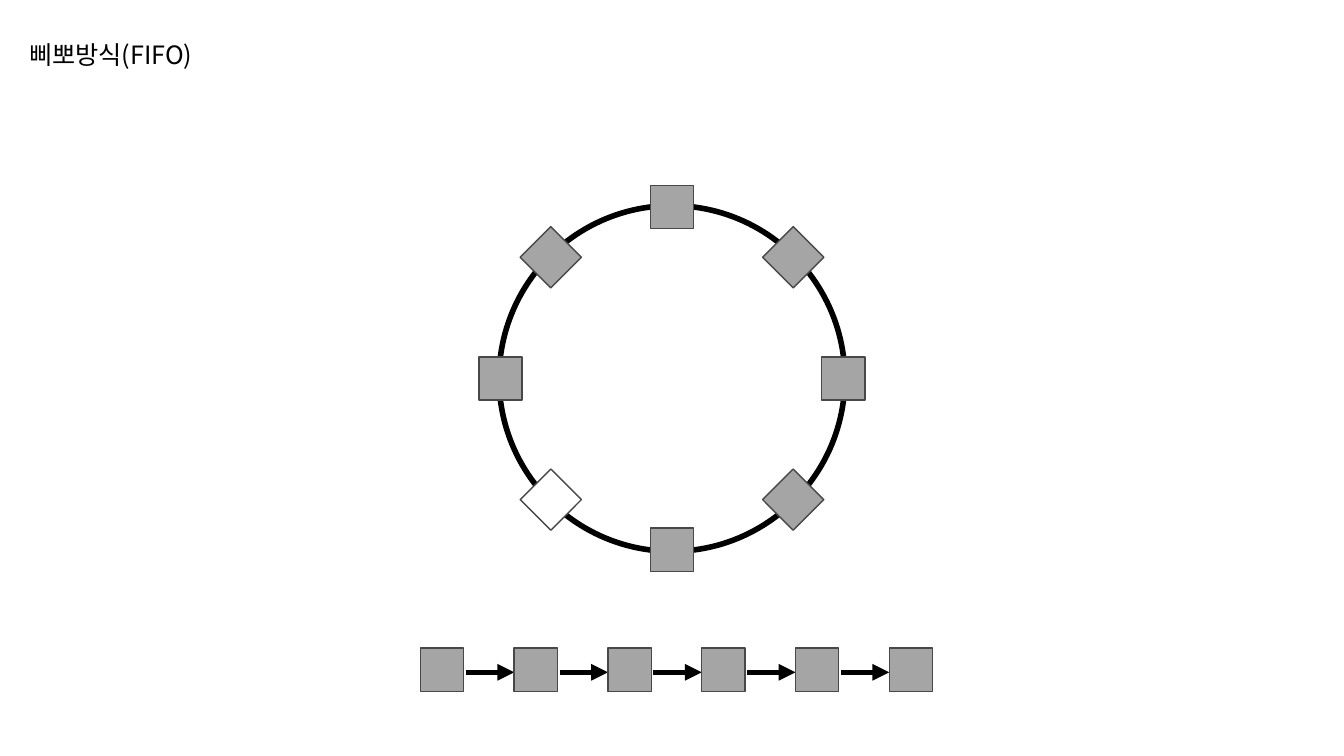
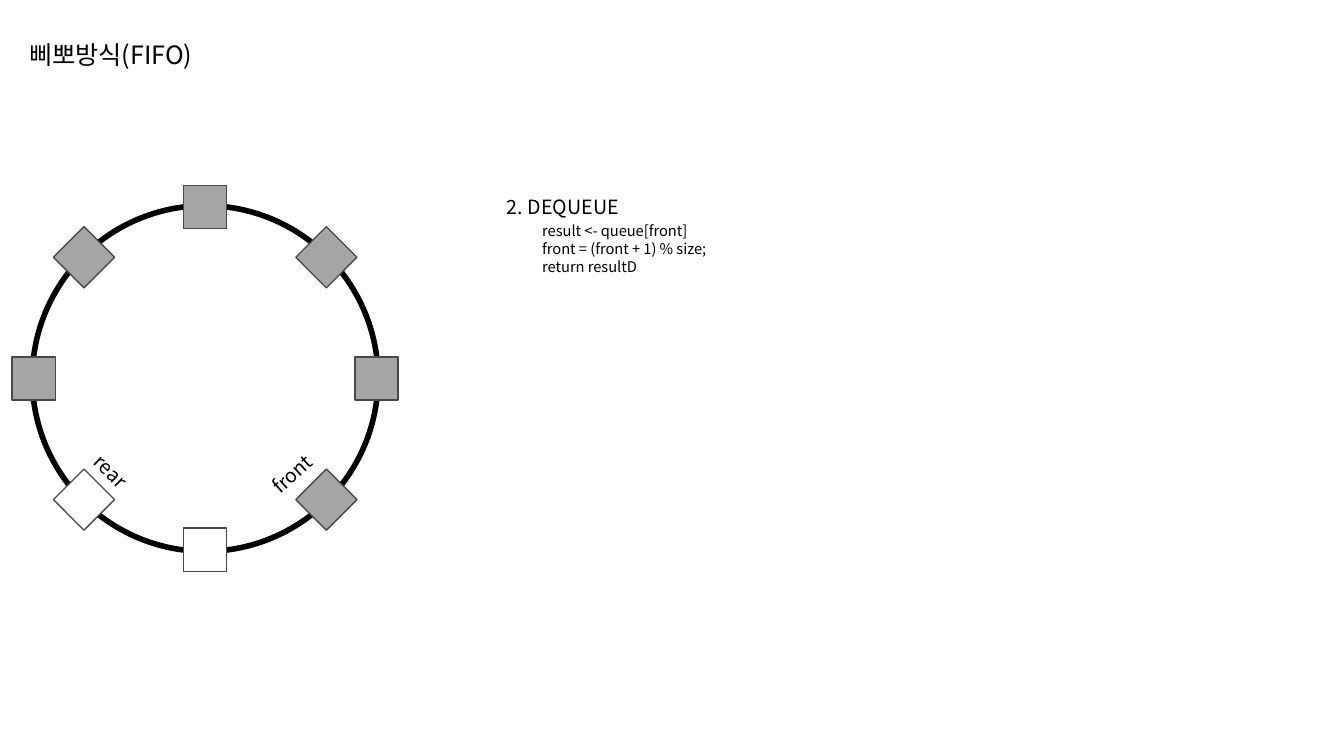
from math import cos, radians, sin

from pptx import Presentation
from pptx.dml.color import RGBColor
from pptx.enum.shapes import MSO_CONNECTOR, MSO_SHAPE
from pptx.enum.text import MSO_AUTO_SIZE
from pptx.oxml.ns import qn
from pptx.util import Inches, Pt

BLACK = RGBColor(0x00, 0x00, 0x00)
WHITE = RGBColor(0xFF, 0xFF, 0xFF)
GRAY = RGBColor(0xA5, 0xA5, 0xA5)
OUTLINE = RGBColor(0x48, 0x48, 0x48)
FONT = "Noto Sans CJK KR"

# Lengths in inches
RING = 3.43
RING_MIDDLE = 3.755
ORBIT = 1.7
CELL = 0.43
CHAIN_LEFT, CHAIN_TOP, CHAIN_PITCH = 4.17, 6.43, 0.93
ARROW_GAP, ARROW_LENGTH, ARROW_Y = 0.45, 0.48, 6.67


def add_shape(page, preset, center_x, center_y, size, fill, line, weight):
    shape = page.shapes.add_shape(
        preset, Inches(center_x - size / 2), Inches(center_y - size / 2),
        Inches(size), Inches(size))
    shape.shadow.inherit = False
    shape.fill.solid()
    shape.fill.fore_color.rgb = fill
    shape.line.color.rgb = line
    shape.line.width = Pt(weight)
    return shape


def add_text(page, area, lines, sizes, rotation=0):
    box = page.shapes.add_textbox(*(Inches(length) for length in area))
    box.rotation = rotation
    frame = box.text_frame
    frame.word_wrap = False
    frame.auto_size = MSO_AUTO_SIZE.SHAPE_TO_FIT_TEXT
    frame.text = "\n".join(lines)
    for para, size in zip(frame.paragraphs, sizes):
        for span in para.runs:
            span.font.size = Pt(size)
            span.font.name = FONT
            span.font.color.rgb = BLACK
            east_asian = span.font._element.makeelement(qn("a:ea"), {"typeface": FONT})
            span.font._element.append(east_asian)
    return frame


deck = Presentation()
deck.slide_width = Inches(13.33)
deck.slide_height = Inches(7.5)

# Both pages: title and circular queue; angles run clockwise from the right
pages = []
for ring_center, empty_angles in ((6.665, {135}), (2.035, {90, 135})):
    page = deck.slides.add_slide(deck.slide_layouts[6])
    pages.append(page)
    add_text(page, (0.19, 0.34, 2.08, 0.4), ["삐뽀방식(FIFO)"], [18])
    add_shape(page, MSO_SHAPE.OVAL, ring_center, RING_MIDDLE, RING, WHITE, BLACK, 4)
    for angle in range(0, 360, 45):
        cell = add_shape(
            page, MSO_SHAPE.RECTANGLE,
            ring_center + ORBIT * cos(radians(angle)),
            RING_MIDDLE + ORBIT * sin(radians(angle)),
            CELL, WHITE if angle in empty_angles else GRAY, OUTLINE, 1)
        cell.rotation = angle % 90

queue_page, dequeue_page = pages

# Linear queue: six cells joined by arrows
for column in range(6):
    left = CHAIN_LEFT + column * CHAIN_PITCH
    add_shape(queue_page, MSO_SHAPE.RECTANGLE, left + CELL / 2,
              CHAIN_TOP + CELL / 2, CELL, GRAY, OUTLINE, 1)
    if column < 5:
        start = left + ARROW_GAP
        arrow = queue_page.shapes.add_connector(
            MSO_CONNECTOR.STRAIGHT, Inches(start), Inches(ARROW_Y),
            Inches(start + ARROW_LENGTH), Inches(ARROW_Y))
        arrow.line.color.rgb = BLACK
        arrow.line.width = Pt(4)
        line = arrow.line._get_or_add_ln()
        line.append(line.makeelement(qn("a:tailEnd"), {"type": "triangle"}))
        properties = arrow._element.spPr
        properties.append(properties.makeelement(qn("a:effectLst"), {}))

# Pointer labels
add_text(dequeue_page, (2.57, 4.51, 0.71, 0.34), ["front"], [14], 318.2)
add_text(dequeue_page, (0.81, 4.53, 0.63, 0.34), ["rear"], [14], 44.6)

# Dequeue steps, indented below their heading
steps = add_text(
    dequeue_page, (4.93, 1.88, 2.74, 0.93),
    ["2. DEQUEUE", "result <- queue[front]",
     "front = (front + 1) % size;", "return resultD"],
    [14, 10.5, 10.5, 10.5])
for para in steps.paragraphs[1:]:
    para._p.get_or_add_pPr().set("marL", str(Inches(0.35)))
steps.paragraphs[1].space_before = Pt(3)

deck.save("out.pptx")
